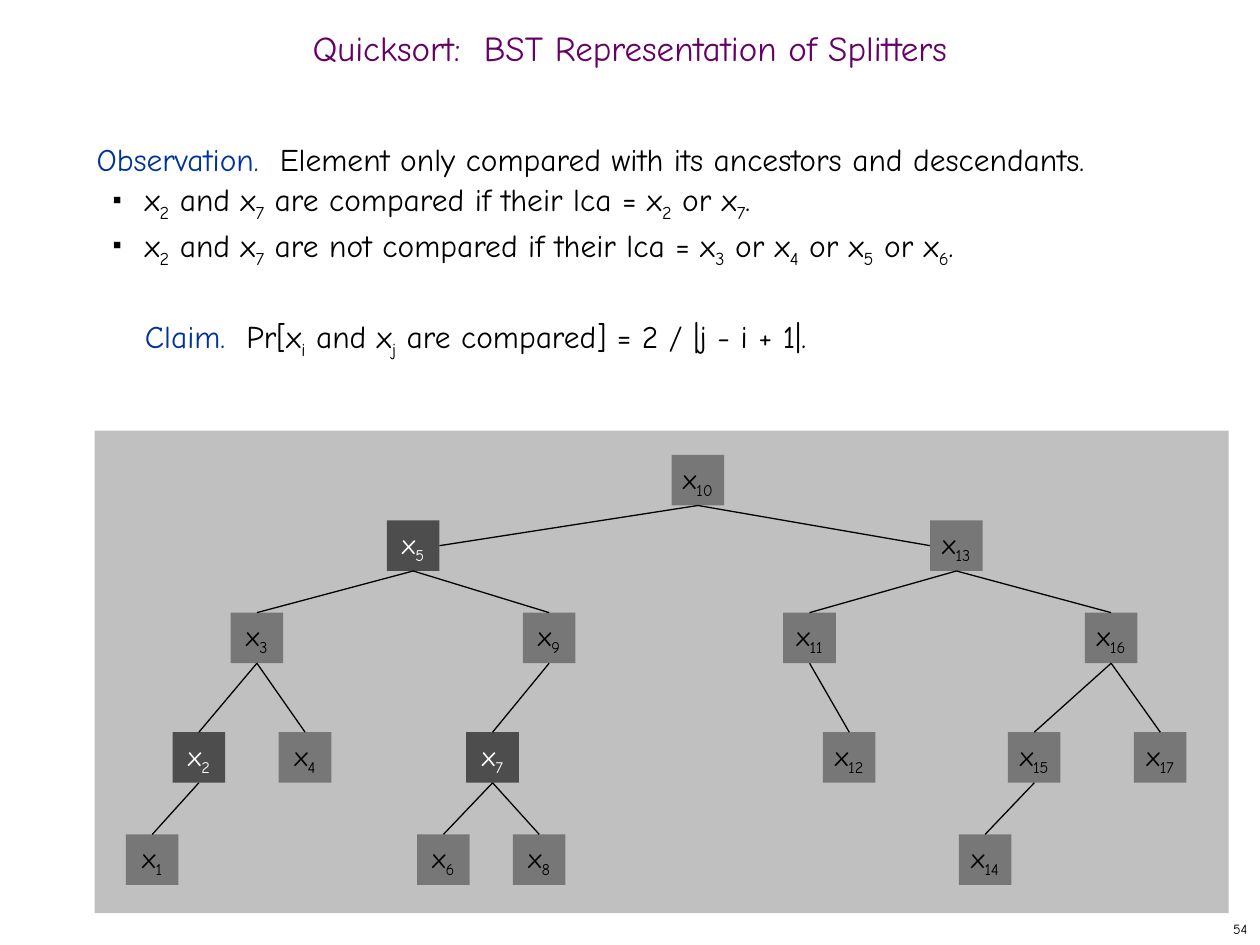
from lxml.etree import SubElement
from pptx import Presentation
from pptx.dml.color import RGBColor
from pptx.enum.shapes import MSO_CONNECTOR, MSO_SHAPE
from pptx.enum.text import MSO_ANCHOR, PP_ALIGN
from pptx.oxml.ns import qn
from pptx.util import Cm, Pt

FONT = "Comic Neue"
COLORS = {
    "title": "660066",
    "heading": "003399",
    "text": "000000",
    "panel": "C0C0C0",
    "node": "777777",
    "chosen": "4D4D4D",
    "chosen text": "FFFFFF",
}


def rgb(name):
    return RGBColor.from_string(COLORS[name])


def add_runs(paragraph, text, size, color="text"):
    """Add text as runs; parts between underscores become subscripts."""
    for position, part in enumerate(text.split("_")):
        if not part:
            continue
        run = paragraph.add_run()
        run.text = part
        run.font.name = FONT
        run.font.size = Pt(size)
        run.font.color.rgb = rgb(color)
        if position % 2:
            run.font._element.set("baseline", "-25000")


prs = Presentation()
prs.slide_width, prs.slide_height = Cm(25.4), Cm(19.05)
slide = prs.slides.add_slide(prs.slide_layouts[5])
shapes = slide.shapes

# Title
title = shapes.title
title.left, title.top, title.width, title.height = Cm(0), Cm(0.43), Cm(25.4), Cm(1.27)
title.text_frame.vertical_anchor = MSO_ANCHOR.MIDDLE
heading = title.text_frame.paragraphs[0]
heading.alignment = PP_ALIGN.CENTER
heading.line_spacing = 0.7
add_runs(heading, "Quicksort:  BST Representation of Splitters", 20, "title")

# Observation and claim: (lead words, text, indented, bulleted)
statements = [
    ("Observation.  ", "Element only compared with its ancestors and descendants.", False, False),
    ("", "x_2_ and x_7_ are compared if their lca = x_2_ or x_7_.", True, True),
    ("", "x_2_ and x_7_ are not compared if their lca = x_3_ or x_4_ or x_5_ or x_6_.", True, True),
    ("Claim.  ", "Pr[x_i_ and x_j_ are compared] = 2 / |j - i + 1|.", True, False),
]
body = shapes.add_textbox(Cm(1.7), Cm(2.54), Cm(23.06), Cm(6)).text_frame
body.word_wrap = True
for index, (lead, statement, indented, bulleted) in enumerate(statements):
    paragraph = body.paragraphs[0] if index == 0 else body.add_paragraph()
    paragraph.line_spacing = Pt(26)
    if indented and not bulleted:
        paragraph.space_before = Pt(26)
    add_runs(paragraph, lead, 18, "heading")
    add_runs(paragraph, statement, 18)
    properties = paragraph._p.get_or_add_pPr()
    if indented:
        properties.set("marL", str(Cm(0.97)))
    if bulleted:
        properties.set("indent", str(-Cm(0.64)))
        bullet_color = SubElement(properties, qn("a:buClr"))
        SubElement(bullet_color, qn("a:srgbClr"), val=COLORS["text"])
        SubElement(properties, qn("a:buSzPct"), val="35000")
        SubElement(properties, qn("a:buChar"), char="■")

# Tree panel
panel = shapes.add_shape(MSO_SHAPE.RECTANGLE, Cm(1.91), Cm(8.68), Cm(22.86), Cm(9.73))
panel.shadow.inherit = False
panel.fill.solid()
panel.fill.fore_color.rgb = rgb("panel")
panel.line.fill.background()

# Search tree: element -> (centre in cm, depth, parent)
NODE_WIDTH, NODE_HEIGHT = 1.06, 1.02
ROW_TOPS = [9.17, 10.49, 12.35, 14.76, 16.82]
TOP, LEFT, BOTTOM, RIGHT = range(4)
tree = {
    10: (14.07, 0, None),
    5: (8.33, 1, 10),
    13: (19.28, 1, 10),
    3: (5.18, 2, 5),
    9: (11.07, 2, 5),
    11: (16.32, 2, 13),
    16: (22.4, 2, 13),
    2: (4.01, 3, 3),
    4: (6.15, 3, 3),
    7: (9.93, 3, 9),
    12: (17.12, 3, 11),
    15: (20.85, 3, 16),
    17: (23.39, 3, 16),
    1: (3.07, 4, 2),
    6: (8.94, 4, 7),
    8: (10.87, 4, 7),
    14: (19.86, 4, 15),
}
chosen_elements = {2, 5, 7}
entry_sides = {5: RIGHT, 13: LEFT}

nodes = {}
for element, (centre, depth, parent) in tree.items():
    chosen = element in chosen_elements
    node = shapes.add_shape(
        MSO_SHAPE.RECTANGLE, Cm(centre - NODE_WIDTH / 2), Cm(ROW_TOPS[depth]),
        Cm(NODE_WIDTH), Cm(NODE_HEIGHT))
    nodes[element] = node
    node.shadow.inherit = False
    node.fill.solid()
    node.fill.fore_color.rgb = rgb("chosen" if chosen else "node")
    node.line.fill.background()
    node.text_frame.word_wrap = False
    node.text_frame.vertical_anchor = MSO_ANCHOR.MIDDLE
    label = node.text_frame.paragraphs[0]
    label.alignment = PP_ALIGN.CENTER
    label.space_before = Pt(10)
    add_runs(label, f"x_{element}_", 16, "chosen text" if chosen else "text")

    if parent is not None:
        edge = shapes.add_connector(MSO_CONNECTOR.STRAIGHT, 0, 0, 0, 0)
        edge.begin_connect(nodes[parent], BOTTOM)
        edge.end_connect(node, entry_sides.get(element, TOP))
        edge.line.color.rgb = rgb("text")
        edge.line.width = Pt(0.75)
        SubElement(edge._element.spPr, qn("a:effectLst"))

# Page number
page_number = shapes.add_textbox(Cm(20.12), Cm(18.42), Cm(5.28), Cm(0.63)).text_frame
page_number.word_wrap = True
page_number.vertical_anchor = MSO_ANCHOR.MIDDLE
page_number.paragraphs[0].alignment = PP_ALIGN.RIGHT
add_runs(page_number.paragraphs[0], "54", 8)

prs.save("out.pptx")
